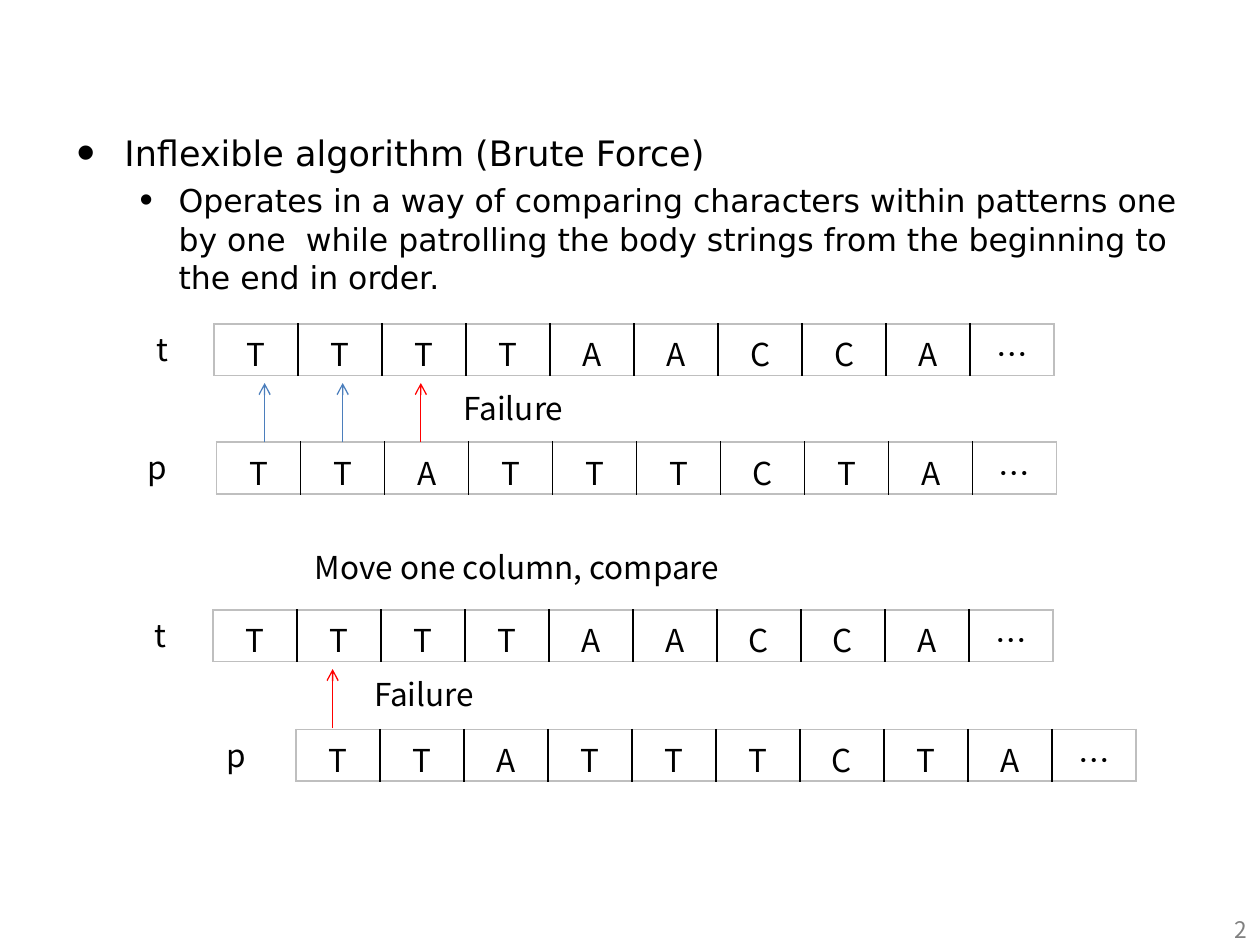
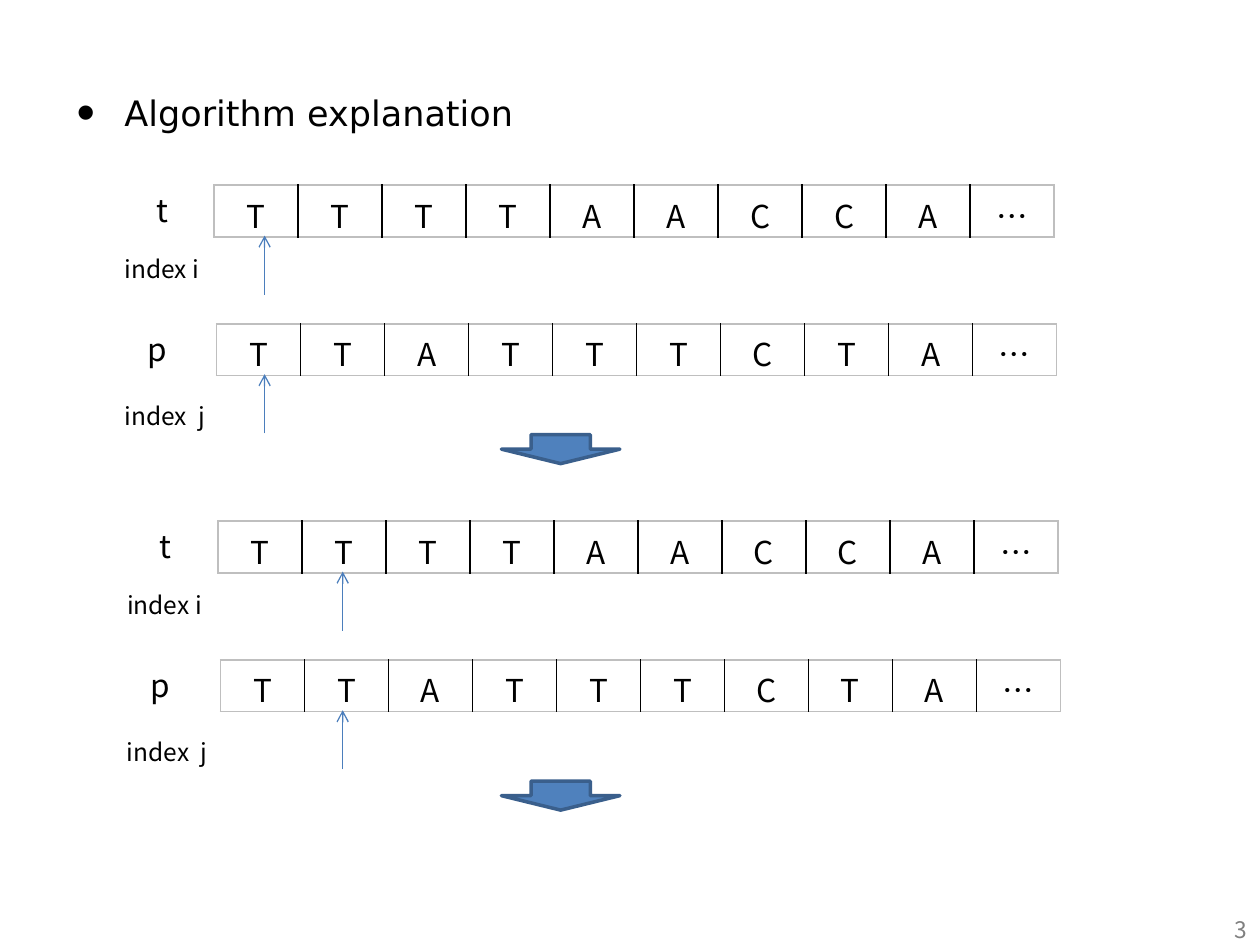
from lxml import etree
from pptx import Presentation
from pptx.dml.color import RGBColor
from pptx.enum.shapes import MSO_CONNECTOR, MSO_SHAPE
from pptx.enum.text import MSO_ANCHOR, PP_ALIGN
from pptx.oxml.ns import qn
from pptx.util import Inches, Pt

BLACK = RGBColor(0x00, 0x00, 0x00)
GRAY = RGBColor(0x80, 0x80, 0x80)
EDGE_GRAY = RGBColor(0xBF, 0xBF, 0xBF)
RED = RGBColor(0xFF, 0x00, 0x00)
LINE_BLUE = RGBColor(0x4B, 0x7E, 0xBC)
FILL_BLUE = RGBColor(0x4F, 0x81, 0xBD)
DARK_BLUE = RGBColor(0x3A, 0x5F, 0x8C)

STRAIGHT = MSO_CONNECTOR.STRAIGHT
DOWN_ARROW = MSO_SHAPE.DOWN_ARROW
CENTER, RIGHT = PP_ALIGN.CENTER, PP_ALIGN.RIGHT
MIDDLE = MSO_ANCHOR.MIDDLE

BODY_FONT = "DejaVu Sans"
CELL_FONT = "Noto Sans CJK KR"

# Grid, in inches: a fifteenth of the slide width per column
WIDTH, HEIGHT = 10, 7.5
COLUMN = WIDTH / 15
ROW = 0.41
ARROW_LENGTH = 0.47
FIRST_ARROW, ARROW_STEP = 2.1, 0.62
BLOCK_STEP = 4 * COLUMN
DOWN_STEP = 2.75

STRINGS = {"t": "TTTTAACCA…", "p": "TTATTTCTA…"}
LABEL_GAPS = {"t": 0.56, "p": 0.65}
INDEXES = {"t": ("index i", 0.5, 0.88), "p": ("index  j", 0.56, 0.9)}

# Bullet level: hanging indent, left margin, bullet size, text size, line spacing
LEVELS = [
    {"indent": 0.38, "margin": 0.38, "bullet": 150, "size": 20, "spacing": Pt(35)},
    {"indent": 0.31, "margin": 0.81, "bullet": 120, "size": 18, "spacing": 1.03},
]

PAGES = [
    {
        "number": "2",
        "body_top": 0.84,
        "bullets": [
            "Inflexible algorithm (Brute Force)",
            "Operates in a way of comparing characters within patterns one by one"
            "  while patrolling the body strings from the beginning to the end in order.",
        ],
        # string name, left, top, bottom cell margin
        "strings": [("t", 1.7, 2.57, 0.05), ("p", 1.72, 3.51, 0),
                    ("t", 1.69, 4.84, 0), ("p", 2.35, 5.79, 0)],
        # centre, tip, colour
        "arrows": [(FIRST_ARROW, 3.04, LINE_BLUE),
                   (FIRST_ARROW + ARROW_STEP, 3.04, LINE_BLUE),
                   (FIRST_ARROW + 2 * ARROW_STEP, 3.04, RED),
                   (2.64, 5.31, RED)],
        "notes": [("Failure", 3.58, 3.04, 1.02, 18),
                  ("Move one column, compare", 2.4, 4.3, 3.85, 18),
                  ("Failure", 2.87, 5.31, 1.02, 18)],
        "down_arrows": [],
    },
    {
        "number": "3",
        "body_top": 0.52,
        "bullets": ["Algorithm explanation"],
        "strings": [],
        "arrows": [],
        "notes": [],
        "down_arrows": [3.45, 3.45 + DOWN_STEP],
    },
]

# The second page compares one more character in each block
steps = PAGES[1]
for block in range(2):
    for name, left, first_top in (("t", 1.7, 1.47), ("p", 1.72, 2.57)):
        top = first_top + block * BLOCK_STEP
        index, drop, width = INDEXES[name]
        margin = 0.05 if (name, block) == ("t", 0) else 0
        steps["strings"].append((name, left + 0.03 * block, top, margin))
        steps["arrows"].append((FIRST_ARROW + ARROW_STEP * block, top + 0.4, LINE_BLUE))
        steps["notes"].append((index, 0.89 + 0.02 * block, top + drop, width, 14))


def write(para, text, size, font=CELL_FONT, color=BLACK):
    span = para.add_run()
    span.text = text
    for key, value in {"name": font, "size": Pt(size)}.items():
        setattr(span.font, key, value)
    span.font.color.rgb = color
    latin = span.font._element.find(qn("a:latin"))
    east_asian = etree.Element(qn("a:ea"), typeface=font)
    latin.addnext(east_asian)


def add_text_box(page, left, top, width, height):
    box = page.shapes.add_textbox(Inches(left), Inches(top), Inches(width), Inches(height))
    box.text_frame.word_wrap = True
    return box.text_frame


deck = Presentation()
deck.slide_width, deck.slide_height = Inches(WIDTH), Inches(HEIGHT)
blank = deck.slide_layouts[6]

for content in PAGES:
    page = deck.slides.add_slide(blank)

    body = add_text_box(page, 0.51, content["body_top"], 9, 6.09)
    for number, (text, level) in enumerate(zip(content["bullets"], LEVELS)):
        para = body.add_paragraph() if number else body.paragraphs[0]
        para.level = number
        para.line_spacing = level["spacing"]
        para.space_before = Pt(level["size"] * 0.2)
        write(para, text, level["size"], BODY_FONT)
        properties = para._p.get_or_add_pPr()
        properties.set("marL", str(Inches(level["margin"])))
        properties.set("indent", str(-Inches(level["indent"])))
        etree.SubElement(properties, qn("a:buSzPct"), val=str(level["bullet"] * 1000))
        etree.SubElement(properties, qn("a:buFont"), typeface="Arial")
        etree.SubElement(properties, qn("a:buChar"), char="•")

    footer = add_text_box(page, 7.67, 7.18, 2.33, 0.4)
    footer.vertical_anchor = MIDDLE
    footer.paragraphs[0].alignment = RIGHT
    write(footer.paragraphs[0], content["number"], 13, color=GRAY)

    for name, left, top, bottom_margin in content["strings"]:
        letters = STRINGS[name]
        last = len(letters) - 1
        table = page.shapes.add_table(
            1, len(letters), Inches(left), Inches(top),
            Inches(COLUMN * len(letters)), Inches(ROW)).table
        table.first_row = table.horz_banding = False
        for position, letter in enumerate(letters):
            cell = table.cell(0, position)
            cell.margin_bottom = Inches(bottom_margin)
            cell.text_frame.paragraphs[0].alignment = CENTER
            write(cell.text_frame.paragraphs[0], letter, 18)
            borders = {"lnL": BLACK if position else EDGE_GRAY,
                       "lnR": BLACK if position < last else EDGE_GRAY,
                       "lnT": EDGE_GRAY, "lnB": EDGE_GRAY}
            properties = cell._tc.get_or_add_tcPr()
            for side, color in borders.items():
                border = etree.SubElement(properties, qn(f"a:{side}"), w=str(Pt(1)))
                fill = etree.SubElement(border, qn("a:solidFill"))
                etree.SubElement(fill, qn("a:srgbClr"), val=str(color))
            cell.fill.background()
        label = add_text_box(page, left - LABEL_GAPS[name], top, 0.5, 0.4)
        write(label.paragraphs[0], name, 18)

    for center, tip, color in content["arrows"]:
        arrow = page.shapes.add_connector(
            STRAIGHT, Inches(center), Inches(tip + ARROW_LENGTH), Inches(center), Inches(tip))
        arrow.line.color.rgb = color
        arrow.line.width = Pt(0.75)
        etree.SubElement(arrow.line._get_or_add_ln(), qn("a:tailEnd"), type="arrow")
        etree.SubElement(arrow._element.spPr, qn("a:effectLst"))

    for text, left, top, width, size in content["notes"]:
        note = add_text_box(page, left, top, width, 0.4 if size == 18 else 0.34)
        write(note.paragraphs[0], text, size)

    for top in content["down_arrows"]:
        down = page.shapes.add_shape(
            DOWN_ARROW, Inches(3.98), Inches(top), Inches(0.94), Inches(0.23))
        down.shadow.inherit = False
        down.fill.solid()
        down.fill.fore_color.rgb = FILL_BLUE
        down.line.color.rgb = DARK_BLUE
        down.line.width = Pt(2)

deck.save("out.pptx")
